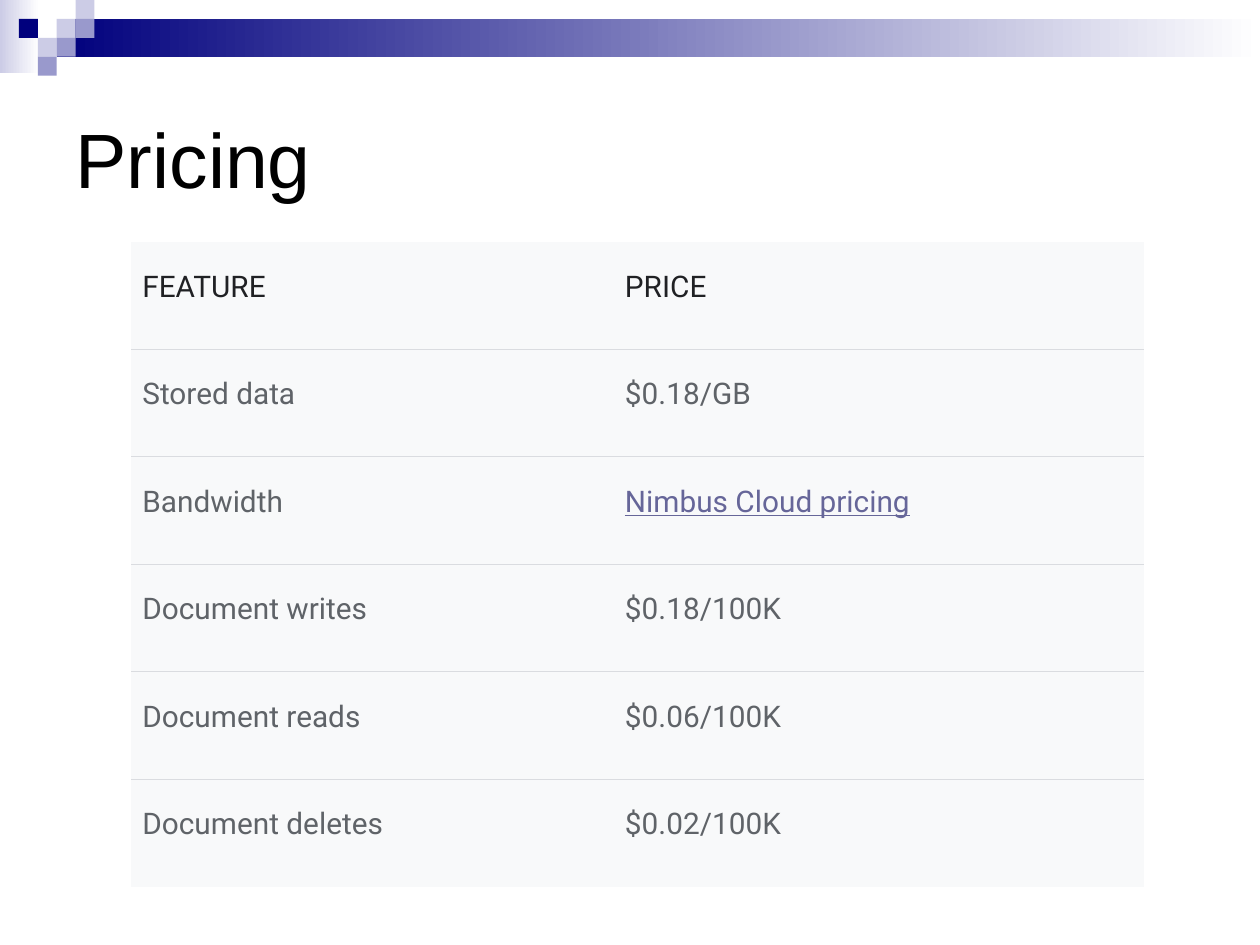
import pptx
import pptx.dml.color
import pptx.enum.shapes
import pptx.enum.text
import pptx.oxml.ns
import pptx.util
from lxml import etree

RGBColor = pptx.dml.color.RGBColor
Inches = pptx.util.Inches
Pt = pptx.util.Pt

BLACK = RGBColor(0x00, 0x00, 0x00)
WHITE = RGBColor(0xFF, 0xFF, 0xFF)
NAVY = RGBColor(0x00, 0x00, 0x7D)
LAVENDER = RGBColor(0x99, 0x99, 0xCC)
PALE = RGBColor(0xCC, 0xCC, 0xE6)
CELL_FILL = RGBColor(0xF8, 0xF9, 0xFA)
RULE = RGBColor(0xDA, 0xDC, 0xE0)
HEADER_TEXT = RGBColor(0x20, 0x21, 0x24)
BODY_TEXT = RGBColor(0x5F, 0x63, 0x68)
LINK_TEXT = RGBColor(0x66, 0x66, 0x99)

deck = pptx.Presentation()
deck.slide_width = Inches(10)
deck.slide_height = Inches(7.5)
page = deck.slides.add_slide(deck.slide_layouts[5])

UNIT = 0.15  # side of one square in the header pattern


def add_block(column, row, columns, rows, *colors):
    """Place a rectangle in header units; two colours make a gradient."""
    block = page.shapes.add_shape(
        pptx.enum.shapes.MSO_SHAPE.RECTANGLE,
        *(Inches(UNIT * units) for units in (column, row, columns, rows)))
    block.shadow.inherit = False
    block.line.fill.background()
    if len(colors) == 1:
        block.fill.solid()
        block.fill.fore_color.rgb = colors[0]
    else:
        block.fill.gradient()
        block.fill.gradient_angle = 0
        for stop, color in zip(block.fill.gradient_stops, colors):
            stop.color.rgb = color


def add_border(cell, side, color=None):
    """Draw one cell edge, or hide it when no colour is given."""
    edge = etree.SubElement(cell._tc.get_or_add_tcPr(),
                            pptx.oxml.ns.qn(f"a:ln{side}"), w=str(Pt(0.6)))
    if color is None:
        etree.SubElement(edge, pptx.oxml.ns.qn("a:noFill"))
    else:
        paint = etree.SubElement(edge, pptx.oxml.ns.qn("a:solidFill"))
        etree.SubElement(paint, pptx.oxml.ns.qn("a:srgbClr"), val=str(color))


# Header pattern
add_block(0, 0, 2.07, 3.87, PALE, WHITE)
add_block(3, 1, 10 / UNIT - 3, 2, NAVY, WHITE)
for column, row, color in [(3, 1, PALE), (4, 0, PALE), (4, 1, LAVENDER),
                           (2, 2, PALE), (1, 1, NAVY), (3, 2, LAVENDER),
                           (2, 3, LAVENDER)]:
    add_block(column, row, 1, 1, color)

# Title
title = page.shapes.title
title.left, title.top = Inches(0.5), Inches(0.5)
title.width, title.height = Inches(9), Inches(1.5)
title.text_frame.vertical_anchor = pptx.enum.text.MSO_ANCHOR.MIDDLE
para = title.text_frame.paragraphs[0]
para.alignment = pptx.enum.text.PP_ALIGN.LEFT
span = para.add_run()
span.text = "Pricing"
span.font.name = "Arial"
span.font.size = Pt(44)
span.font.color.rgb = BLACK

# Price table
LINK = "Nimbus Cloud pricing"
PRICES = [
    ("FEATURE", "PRICE"),
    ("Stored data", "$0.18/GB"),
    ("Bandwidth", LINK),
    ("Document writes", "$0.18/100K"),
    ("Document reads", "$0.06/100K"),
    ("Document deletes", "$0.02/100K"),
]
COLUMN_WIDTHS = (3.74, 4.3)
LEFT_MARGINS = (0.09, 0.18)
ROW_HEIGHT = 5.12 / len(PRICES)

table = page.shapes.add_table(
    len(PRICES), len(COLUMN_WIDTHS), Inches(1.04), Inches(1.92),
    Inches(sum(COLUMN_WIDTHS)), Inches(ROW_HEIGHT * len(PRICES))).table
table.first_row = False
table.horz_banding = False
for column, width in zip(table.columns, COLUMN_WIDTHS):
    column.width = Inches(width)

for row, texts in enumerate(PRICES):
    table.rows[row].height = Inches(ROW_HEIGHT)
    for column, text in enumerate(texts):
        cell = table.cell(row, column)
        cell.margin_left = Inches(LEFT_MARGINS[column])
        cell.margin_right = Inches(0.09)
        cell.margin_top = cell.margin_bottom = Inches(0.22)
        add_border(cell, "L")
        add_border(cell, "R")
        add_border(cell, "T", RULE if row > 0 else None)
        add_border(cell, "B", RULE if row < len(PRICES) - 1 else None)
        cell.fill.solid()
        cell.fill.fore_color.rgb = CELL_FILL

        span = cell.text_frame.paragraphs[0].add_run()
        span.text = text
        span.font.name = "Roboto"
        span.font.size = Pt(17)
        span.font.bold = False
        span.font.color.rgb = HEADER_TEXT if row == 0 else BODY_TEXT
        if text == LINK:
            span.font.underline = True
            span.font.color.rgb = LINK_TEXT

deck.save("out.pptx")
